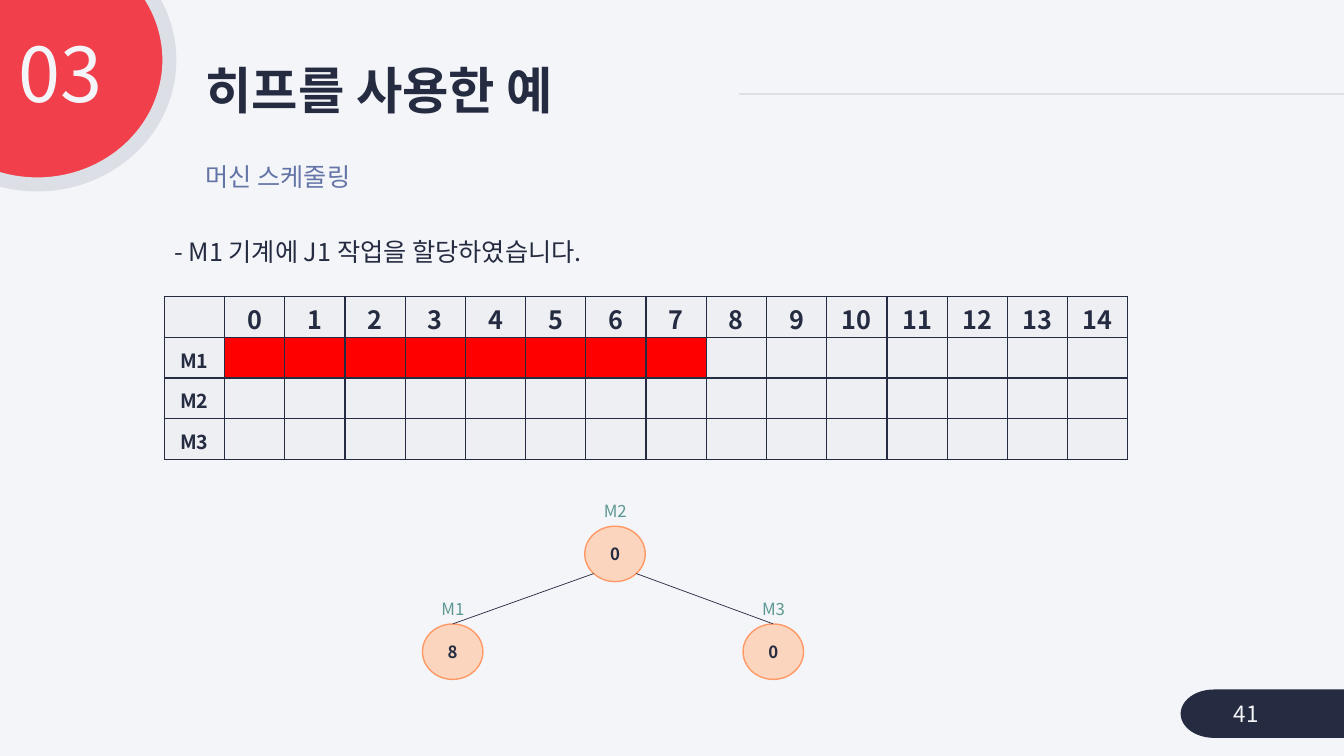
from lxml.etree import SubElement
from pptx import Presentation
from pptx.dml.color import RGBColor
from pptx.enum.shapes import MSO_CONNECTOR, MSO_SHAPE
from pptx.enum.text import MSO_ANCHOR, PP_ALIGN
from pptx.oxml.ns import qn
from pptx.util import Inches, Pt

FONT = "Noto Sans CJK KR"
COLORS = {
    "background": "F4F5F9", "ink": "252C41", "badge": "F1404B", "rule": "DDDFE6",
    "subtitle": "6374A6", "cell": "EEEFF3", "busy": "FF0000",
    "node": "FBD5BD", "node_edge": "FF9966", "machine": "5D9792",
}
MACHINES = ["M1", "M2", "M3"]
TIME_SLOTS = 15
BUSY_SLOTS = {"M1": 8}
NODE_WIDTH, NODE_HEIGHT = 0.6, 0.55


def color(name):
    """Return the named palette colour."""
    return RGBColor.from_string(COLORS[name])


def write(frame, words, size, tint, bold=False, align=PP_ALIGN.LEFT, spacing=None):
    """Write one formatted run into a text frame."""
    paragraph = frame.paragraphs[0]
    paragraph.alignment = align
    if spacing:
        paragraph.line_spacing = spacing
    run = paragraph.add_run()
    run.text = words
    run.font.size = Pt(size)
    run.font.bold = bold
    run.font.name = FONT
    run.font.color.rgb = color(tint)
    SubElement(run.font._element, qn("a:ea"), typeface=FONT)


def add_label(slide, box, words, size, tint, anchor=MSO_ANCHOR.TOP, wrap=True, **style):
    """Place a text box at the given left, top, width and height."""
    frame = slide.shapes.add_textbox(*map(Inches, box)).text_frame
    frame.word_wrap = wrap
    frame.vertical_anchor = anchor
    write(frame, words, size, tint, **style)


def add_figure(slide, preset, box, fill, edge=None, weight=1):
    """Place a flat preset shape with an optional outline."""
    figure = slide.shapes.add_shape(preset, *map(Inches, box))
    figure.shadow.inherit = False
    figure.fill.solid()
    figure.fill.fore_color.rgb = color(fill)
    if edge:
        figure.line.color.rgb = color(edge)
        figure.line.width = Pt(weight)
    else:
        figure.line.fill.background()
    return figure


def add_rule(slide, start, end, tint, weight):
    """Draw a straight line between two points."""
    rule = slide.shapes.add_connector(MSO_CONNECTOR.STRAIGHT, *map(Inches, start + end))
    rule.line.color.rgb = color(tint)
    rule.line.width = Pt(weight)
    SubElement(rule._element.spPr, qn("a:effectLst"))
    return rule


def add_header(slide, left, top, width):
    """Place the chapter badge, title, subtitle and heading rule."""
    add_rule(slide, (left + 7.33, top + 0.93), (left + width, top + 0.93), "rule", 1.5)
    add_figure(slide, MSO_SHAPE.OVAL, (left - 0.94, top - 0.64, 2.62, 2.47), "badge", "rule", 10)
    add_label(slide, (left + 1.94, top + 0.59, 6.22, 0.67), "히프를 사용한 예", 36, "ink",
              MSO_ANCHOR.MIDDLE, bold=True, spacing=0.9)
    add_label(slide, (left - 0.11, top + 0.32, 1.22, 0.92), "03", 54, "background",
              align=PP_ALIGN.RIGHT, spacing=0.9)
    add_label(slide, (left + 1.94, top + 1.55, 1.81, 0.4), "머신 스케줄링", 18, "subtitle")


def add_page_number(slide, left, top, number):
    """Place the page number on its dark tab."""
    add_figure(slide, MSO_SHAPE.FLOWCHART_TERMINATOR, (left, top, 2.05, 0.48), "ink")
    add_label(slide, (left + 0.43, top + 0.04, 1.09, 0.4), number, 16, "background",
              MSO_ANCHOR.MIDDLE)


def outline_cell(cell):
    """Give all four sides of a cell a thin dark border."""
    properties = cell._tc.get_or_add_tcPr()
    for index, side in enumerate(("a:lnL", "a:lnR", "a:lnT", "a:lnB")):
        border = properties.makeelement(qn(side), {"w": str(Pt(1))})
        fill = SubElement(border, qn("a:solidFill"))
        SubElement(fill, qn("a:srgbClr"), val=COLORS["ink"])
        properties.insert(index, border)


def add_schedule(slide, left, top, width, height):
    """Build the grid of machines against time slots."""
    rows, columns = len(MACHINES) + 1, TIME_SLOTS + 1
    schedule = slide.shapes.add_table(rows, columns, *map(Inches, (left, top, width, height))).table
    schedule.first_row = schedule.horz_banding = False
    for column in schedule.columns:
        column.width = Inches(width / columns)
    for row in schedule.rows:
        row.height = Inches(height / rows)
    for r, machine in enumerate([""] + MACHINES):
        for c in range(columns):
            cell = schedule.cell(r, c)
            cell.margin_left = cell.margin_right = Inches(0.05)
            cell.margin_top, cell.margin_bottom = Inches(0.04), 0
            cell.vertical_anchor = MSO_ANCHOR.MIDDLE
            cell.fill.solid()
            busy = 1 <= c <= BUSY_SLOTS.get(machine, 0)
            cell.fill.fore_color.rgb = color("busy" if busy else "cell")
            outline_cell(cell)
            words = machine if c == 0 else str(c - 1) if r == 0 else ""
            if words:
                write(cell.text_frame, words, 14 if r else 18, "ink", True, PP_ALIGN.CENTER)


def add_node(slide, left, top, machine, finish):
    """Place a heap node with its machine name above it."""
    node = add_figure(slide, MSO_SHAPE.OVAL, (left, top, NODE_WIDTH, NODE_HEIGHT),
                      "node", "node_edge")
    frame = node.text_frame
    frame.margin_left = frame.margin_right = 0
    frame.vertical_anchor = MSO_ANCHOR.MIDDLE
    write(frame, finish, 12, "ink", True, PP_ALIGN.CENTER)
    add_label(slide, (left + 0.09, top - 0.3, 0.43, 0.3), machine, 12, "machine", wrap=False)
    return node


def add_heap(slide, left, top):
    """Draw the heap of machines ordered by finishing time."""
    root_left, root_top, child_top = left + 1.61, top + 0.3, top + 1.27
    add_node(slide, root_left, root_top, "M2", "0")
    edge_y = root_top + 0.47
    children = [("M1", "8", left, root_left + 0.09), ("M3", "0", left + 3.18, root_left + 0.51)]
    for machine, finish, child_left, edge_x in children:
        child = add_node(slide, child_left, child_top, machine, finish)
        edge = add_rule(slide, (edge_x, edge_y), (child_left + NODE_WIDTH / 2, child_top),
                        "ink", 0.5)
        edge.end_connect(child, 0)


def main():
    """Build and save the machine scheduling slide."""
    deck = Presentation()
    deck.slide_width, deck.slide_height = Inches(13.33), Inches(7.5)
    slide = deck.slides.add_slide(deck.slide_layouts[6])
    slide.background.fill.solid()
    slide.background.fill.fore_color.rgb = color("background")
    add_header(slide, 0, 0, 13.33)
    add_page_number(slide, 11.71, 6.84, "41")
    add_schedule(slide, 1.63, 2.94, 9.56, 1.62)
    add_label(slide, (1.63, 2.3, 4.47, 0.4), "- M1 기계에 J1 작업을 할당하였습니다.", 18, "ink",
              wrap=False)
    add_heap(slide, 4.19, 4.92)
    deck.save("out.pptx")


if __name__ == "__main__":
    main()
